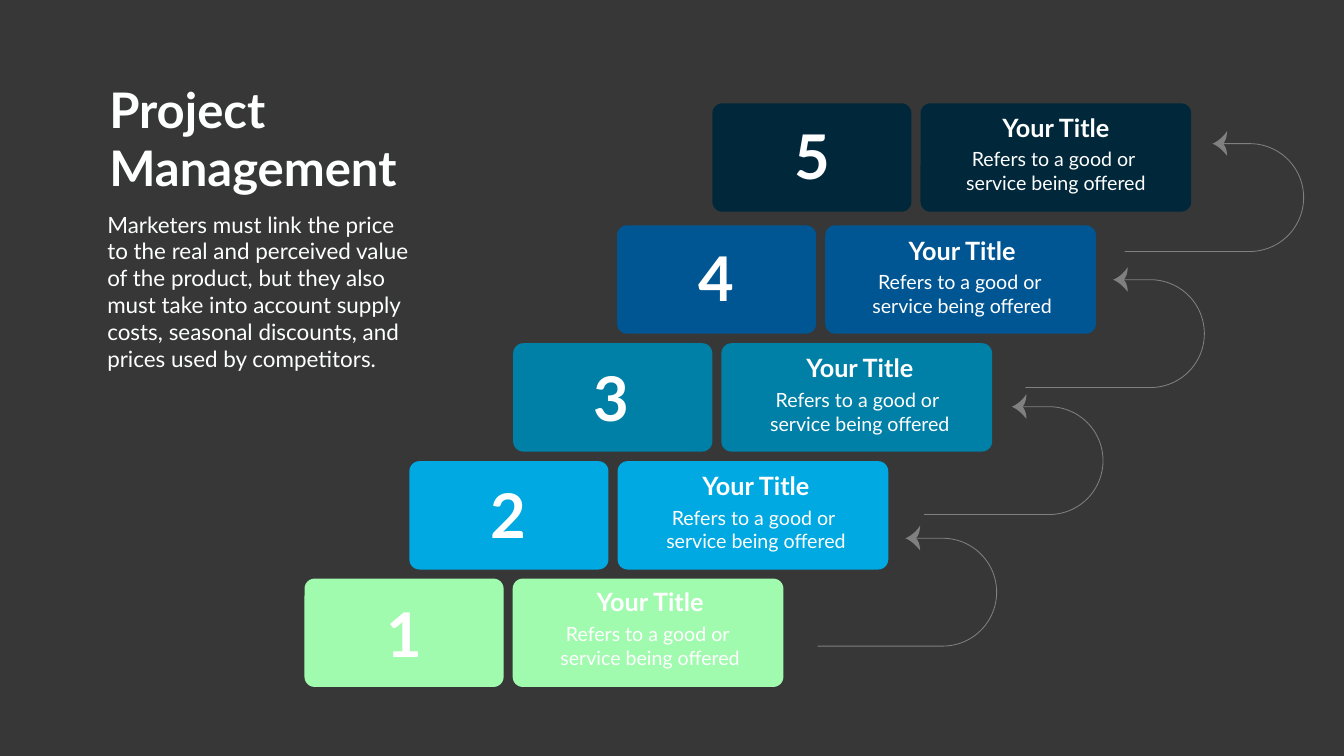
from dataclasses import dataclass
from math import cos, pi, sin

from pptx import Presentation
from pptx.dml.color import RGBColor
from pptx.enum.shapes import MSO_SHAPE
from pptx.enum.text import MSO_AUTO_SIZE, PP_ALIGN
from pptx.util import Inches, Pt

Point = tuple[float, float]

FONT = "Lato"
BACKGROUND, OFF_WHITE, WHITE, GREY = "373737", "FEFFFF", "FFFFFF", "808080"
CARD_HEIGHT, CORNER = 2.15, 0.2
NUMBER_WIDTH, CAPTION_WIDTH, CAPTION_SHIFT = 3.95, 5.37, 4.13
BEND_RADIUS, BEND_X, HEAD_X = 1.07, 2.48, 1.92


@dataclass(frozen=True)
class Step:
    """One stair: its colour, corner, number place and heading place."""
    color: str
    corner: Point
    number_at: Point
    heading_at: Point


STEPS = [
    Step("A1FBAF", (6.04, 11.48), (7.56, 11.77), (11.59, 11.59)),
    Step("00A9E1", (8.12, 9.15), (9.63, 9.41), (13.69, 9.28)),
    Step("0080A7", (10.18, 6.81), (11.67, 7.1), (15.75, 6.95)),
    Step("005693", (12.24, 4.47), (13.75, 4.72), (17.78, 4.61)),
    Step("00283A", (14.13, 2.05), (15.66, 2.29), (19.64, 2.17)),
]
ARROWS = [(16.22, 10.68), (18.33, 8.07), (20.34, 5.55), (22.31, 2.85)]
HEAD_CURVES = [
    ((1.95, 0), (2.01, -0.06), (2.03, -0.17), (2.03, -0.25)),
    ((2.03, -0.25), (1.96, -0.14), (1.86, -0.05), (1.74, 0)),
    ((1.74, 0), (1.86, 0.05), (1.95, 0.14), (2.03, 0.24)),
    ((2.03, 0.24), (2.03, 0.16), (2.01, 0.06), (1.95, 0)),
]


def rgb(value: str) -> RGBColor:
    """Turn a hex string into a colour."""
    return RGBColor.from_string(value)


def paint(shape, color: str) -> None:
    """Fill a shape with one colour, without outline or shadow."""
    shape.shadow.inherit = False
    shape.fill.solid()
    shape.fill.fore_color.rgb = rgb(color)
    shape.line.fill.background()


def write(slide, at: Point, size: Point, lines: list[str], points: float,
          color: str = WHITE, bold: bool = False, wrap: bool = True,
          align: PP_ALIGN = PP_ALIGN.LEFT) -> None:
    """Place a text box with one paragraph per line."""
    frame = slide.shapes.add_textbox(*map(Inches, at + size)).text_frame
    frame.word_wrap = wrap
    frame.auto_size = MSO_AUTO_SIZE.SHAPE_TO_FIT_TEXT
    frame.text = "\n".join(lines)
    formats = {"name": FONT, "size": Pt(points), "bold": bold}
    for paragraph in frame.paragraphs:
        paragraph.alignment = align
        font = paragraph.runs[0].font
        for attribute, value in formats.items():
            setattr(font, attribute, value)
        font.color.rgb = rgb(color)


def draw_card(slide, at: Point, width: float, color: str) -> None:
    """Draw one rounded card."""
    card = slide.shapes.add_shape(
        MSO_SHAPE.ROUNDED_RECTANGLE, *map(Inches, (*at, width, CARD_HEIGHT)))
    card.adjustments[0] = CORNER / CARD_HEIGHT
    paint(card, color)


def draw_step(slide, number: int, step: Step) -> None:
    """Draw a stair with its number, heading and description."""
    left, top = step.corner
    draw_card(slide, step.corner, NUMBER_WIDTH, step.color)
    draw_card(slide, (left + CAPTION_SHIFT, top), CAPTION_WIDTH, step.color)
    write(slide, step.number_at, (0.92, 1.58), [str(number)], 88, bold=True, wrap=False)
    x, y = step.heading_at
    write(slide, (x, y), (2.61, 0.71), ["Your Title"], 36, bold=True,
          align=PP_ALIGN.CENTER)
    write(slide, (x - 0.68, y + 0.7), (3.97, 1.04),
          ["Refers to a good or ", "service being offered"], 28,
          align=PP_ALIGN.CENTER)


def bezier(curve: tuple[Point, ...], pieces: int = 10) -> list[Point]:
    """Return points along a cubic curve."""
    fractions = [i / pieces for i in range(pieces + 1)]
    weights = [((1 - t) ** 3, 3 * t * (1 - t) ** 2, 3 * t * t * (1 - t), t ** 3)
               for t in fractions]
    return [(sum(w * p[0] for w, p in zip(row, curve)),
             sum(w * p[1] for w, p in zip(row, curve))) for row in weights]


def draw_outline(slide, at: Point, points: list[Point], close: bool):
    """Build a freeform from points relative to a place."""
    placed = [(Inches(at[0] + x), Inches(at[1] + y)) for x, y in points]
    builder = slide.shapes.build_freeform(*placed[0])
    builder.add_line_segments(placed[1:], close=close)
    return builder.convert_to_shape()


def draw_arrow(slide, at: Point) -> None:
    """Draw a bent arrow that leads up to the next stair."""
    angles = [pi * i / 48 - pi / 2 for i in range(49)]
    bend = [(BEND_X + BEND_RADIUS * cos(a), BEND_RADIUS * (1 + sin(a))) for a in angles]
    tail = draw_outline(slide, at, [(HEAD_X, 0), *bend, (0, 2 * BEND_RADIUS)], False)
    tail.shadow.inherit = False
    tail.fill.background()
    tail.line.color.rgb = rgb(GREY)
    tail.line.width = Pt(1.19)
    head = [point for curve in HEAD_CURVES for point in bezier(curve)]
    paint(draw_outline(slide, at, head, True), GREY)


def main() -> None:
    """Build the staircase slide."""
    presentation = Presentation()
    presentation.slide_width = Inches(26.66)
    presentation.slide_height = Inches(15)
    slide = presentation.slides.add_slide(presentation.slide_layouts[6])
    slide.background.fill.solid()
    slide.background.fill.fore_color.rgb = rgb(BACKGROUND)
    for arrow in ARROWS:
        draw_arrow(slide, arrow)
    for number, step in enumerate(STEPS, 1):
        draw_step(slide, number, step)
    write(slide, (2.07, 1.52), (6.2, 2.52), ["Project", "Management"], 70,
          OFF_WHITE, bold=True, wrap=False)
    write(slide, (2.03, 4.13), (6.24, 3.33),
          ["Marketers must link the price to the real and perceived value of the "
           "product, but they also must take into account supply costs, seasonal "
           "discounts, and prices used by competitors."], 32, OFF_WHITE)
    presentation.save("out.pptx")


if __name__ == "__main__":
    main()
